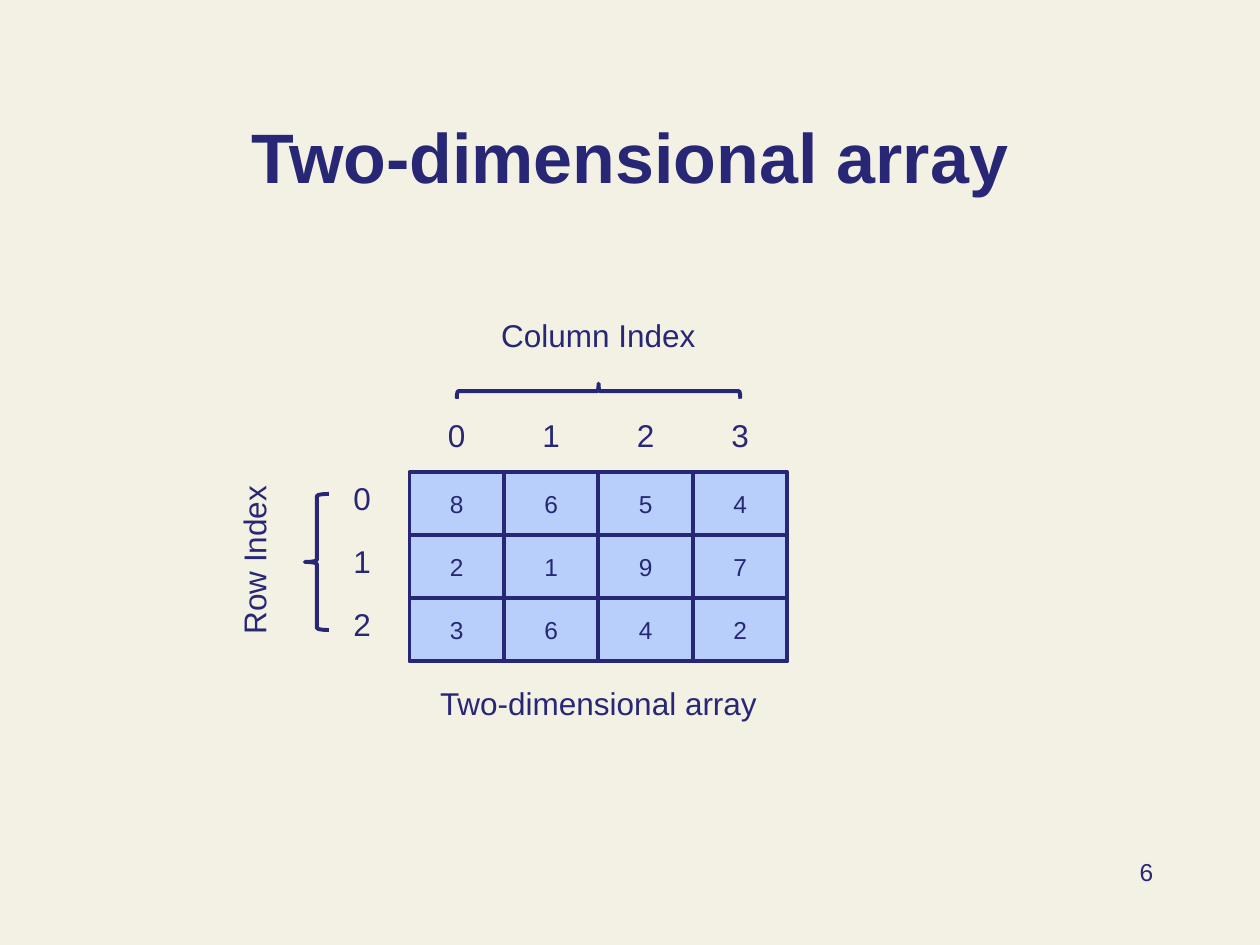
from pptx import Presentation
from pptx.dml.color import RGBColor
from pptx.enum.shapes import MSO_SHAPE as Shape
from pptx.enum.text import MSO_ANCHOR as Anchor, PP_ALIGN as Align
from pptx.util import Inches, Pt

COLORS = {"background": "F3F1E4", "ink": "272776", "cell": "B8CFFB"}
FONT = "Arial"
ARRAY = [[8, 6, 5, 4], [2, 1, 9, 7], [3, 6, 4, 2]]
LEFT, TOP = 3.25, 3.75
CELL_WIDTH, CELL_HEIGHT = 0.75, 0.5


def color(name):
    return RGBColor.from_string(COLORS[name])


def write(frame, text, size, align=Align.CENTER, anchor=Anchor.TOP, bold=False):
    frame.word_wrap = True
    frame.vertical_anchor = anchor
    para = frame.paragraphs[0]
    para.alignment = align
    span = para.add_run()
    span.text = text
    span.font.name = FONT
    span.font.size = Pt(size)
    span.font.bold = bold
    span.font.color.rgb = color("ink")


def add_title(page, text):
    title = page.shapes.title
    title.left, title.top = Inches(0.75), Inches(0.54)
    title.width, title.height = Inches(8.5), Inches(1.08)
    write(title.text_frame, text, 40, anchor=Anchor.BOTTOM, bold=True)


def add_label(page, text, left, top, width, height, size=18, align=Align.CENTER, rotation=0):
    box = page.shapes.add_textbox(Inches(left), Inches(top), Inches(width), Inches(height))
    box.rotation = rotation
    write(box.text_frame, text, size, align)


def add_outlined(page, kind, left, top, width, height):
    shape = page.shapes.add_shape(kind, Inches(left), Inches(top), Inches(width), Inches(height))
    shape.shadow.inherit = False
    shape.line.color.rgb = color("ink")
    shape.line.width = Pt(2.25)
    return shape


def add_cell(page, value, left, top):
    cell = add_outlined(page, Shape.RECTANGLE, left, top, CELL_WIDTH, CELL_HEIGHT)
    cell.fill.solid()
    cell.fill.fore_color.rgb = color("cell")
    write(cell.text_frame, str(value), 14, anchor=Anchor.MIDDLE)


def add_brace(page, left, top, width, height, rotation=0):
    brace = add_outlined(page, Shape.LEFT_BRACE, left, top, width, height)
    brace.fill.background()
    brace.adjustments[0] = 0.083
    brace.adjustments[1] = 0.5
    brace.rotation = rotation


def add_array(page):
    for row, values in enumerate(ARRAY):
        for column, value in enumerate(values):
            add_cell(page, value, LEFT + column * CELL_WIDTH, TOP + row * CELL_HEIGHT)
    for column in range(len(ARRAY[0])):
        add_label(page, str(column), LEFT + column * CELL_WIDTH, TOP - CELL_HEIGHT,
                  CELL_WIDTH, CELL_HEIGHT)
    for row in range(len(ARRAY)):
        add_label(page, str(row), LEFT - CELL_WIDTH, TOP + row * CELL_HEIGHT,
                  CELL_WIDTH, CELL_HEIGHT)


def main():
    deck = Presentation()
    deck.slide_width, deck.slide_height = Inches(10), Inches(7.5)
    page = deck.slides.add_slide(deck.slide_layouts[5])
    page.background.fill.solid()
    page.background.fill.fore_color.rgb = color("background")

    add_title(page, "Two-dimensional array")
    add_label(page, "6", 7.17, 6.75, 2.08, 0.5, size=14, align=Align.RIGHT)
    add_array(page)
    add_label(page, "Two-dimensional array", LEFT, 5.38, 3, 0.4)
    add_brace(page, 2.42, 3.92, 0.19, 1.08)
    add_brace(page, 4.69, 1.98, 0.12, 2.25, rotation=90)
    add_label(page, "Column Index", 3.88, 2.46, 1.74, 0.4, align=Align.LEFT)
    add_label(page, "Row Index", 1.32, 4.24, 1.39, 0.4, align=Align.LEFT, rotation=270)
    deck.save("out.pptx")


if __name__ == "__main__":
    main()
